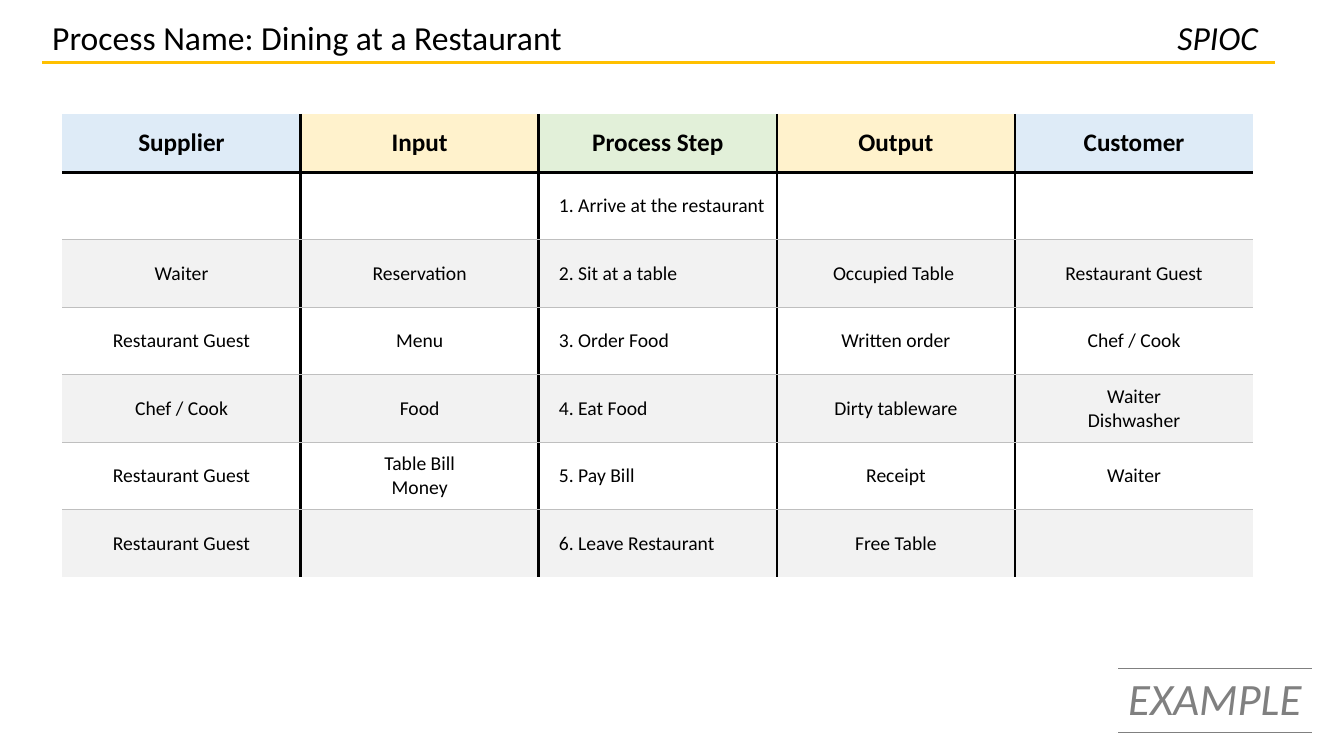
from lxml import etree
from pptx import Presentation
from pptx import util as u
from pptx.dml.color import RGBColor
from pptx.enum import shapes, text
from pptx.oxml.ns import qn

BLACK = RGBColor(0x00, 0x00, 0x00)
WHITE = RGBColor(0xFF, 0xFF, 0xFF)
GOLD = RGBColor(0xFF, 0xC0, 0x00)
BLUE = RGBColor(0xDE, 0xEB, 0xF7)
CREAM = RGBColor(0xFF, 0xF2, 0xCC)
GREEN = RGBColor(0xE2, 0xF0, 0xD9)
BAND = RGBColor(0xF2, 0xF2, 0xF2)
RULE = RGBColor(0xBF, 0xBF, 0xBF)
GREY = RGBColor(0x80, 0x80, 0x80)
CENTER, LEFT, RIGHT = text.PP_ALIGN.CENTER, text.PP_ALIGN.LEFT, text.PP_ALIGN.RIGHT

presentation = Presentation()
presentation.slide_width, presentation.slide_height = u.Inches(13.33), u.Inches(7.5)
slide = presentation.slides.add_slide(presentation.slide_layouts[6])


def share(*percents):
    sides = (presentation.slide_width, presentation.slide_height) * 2
    return [round(side * percent / 100) for side, percent in zip(sides, percents)]


def write(frame, content, alignment, size, **format_values):
    frame.text = content
    values = {"name": "Calibri", "size": u.Pt(size), "bold": False, **format_values}
    color = values.pop("color", BLACK)
    for paragraph in frame.paragraphs:
        paragraph.alignment = alignment
        for run in paragraph.runs:
            for name, value in values.items():
                setattr(run.font, name, value)
            run.font.color.rgb = color


title_rule = slide.shapes.add_connector(
    shapes.MSO_CONNECTOR.STRAIGHT, *share(3.15, 8.27, 94.9, 8.27))
title_rule.line.color.rgb = GOLD
title_rule.line.width = u.Pt(1.5)
etree.SubElement(title_rule._element.spPr, qn("a:effectLst"))

headings = [
    ("Process Name: Dining at a Restaurant", (3.15, 1.6, 46.89, 6.67), LEFT, False),
    ("SPIOC ", (64.52, 1.6, 30.38, 6.67), RIGHT, True),
]
for content, place, alignment, italic in headings:
    shape = slide.shapes.add_textbox(*share(*place))
    shape.text_frame.word_wrap = True
    write(shape.text_frame, content, alignment, 24, italic=italic)

headers = ["Supplier", "Input", "Process Step", "Output", "Customer"]
header_fills = [BLUE, CREAM, GREEN, CREAM, BLUE]
steps = [
    ["", "", "1. Arrive at the restaurant", "", ""],
    ["Waiter", "Reservation", "2. Sit at a table", "Occupied Table ", "Restaurant Guest"],
    ["Restaurant Guest", "Menu", "3. Order Food", "Written order", "Chef / Cook"],
    ["Chef / Cook", "Food", "4. Eat Food", "Dirty tableware", "Waiter\nDishwasher"],
    ["Restaurant Guest", "Table Bill\nMoney", "5. Pay Bill", "Receipt", "Waiter"],
    ["Restaurant Guest", "", "6. Leave Restaurant", "Free Table", ""],
]
process_rows = [headers] + steps
last_row, last_column = len(steps), len(headers) - 1
heavy, thin, example_rule, blank_rule = (BLACK, 2.25), (RULE, 1), (GREY, 1), (WHITE, 1)

process_table = slide.shapes.add_table(
    len(process_rows), len(headers), *share(4.65, 15.07, 88.6, 61.31)).table
example_table = slide.shapes.add_table(1, 1, *share(83.12, 88.4, 14.55, 8.4)).table
for table in (process_table, example_table):
    table.first_row = table.horz_banding = False

cells = []
for row, contents in enumerate(process_rows):
    process_table.rows[row].height = share(0, 8.93 if row else 7.73)[1]
    for column, content in enumerate(contents):
        cell = process_table.cell(row, column)
        cell.vertical_anchor = text.MSO_ANCHOR.MIDDLE
        if row:
            for side in ("left", "right", "top", "bottom"):
                setattr(cell, f"margin_{side}", u.Inches(0.04))
            if column == 2:
                cell.margin_left = u.Inches(0.2)
            write(cell.text_frame, content, LEFT if column == 2 else CENTER, 14)
        else:
            write(cell.text_frame, content, CENTER, 18, bold=True)
        borders = {
            "lnL": heavy if column else None,
            "lnR": heavy if column < last_column else None,
            "lnT": (heavy if row == 1 else thin) if row else None,
            "lnB": (thin if row else heavy) if row < last_row else None,
        }
        fill = (BAND if row % 2 == 0 else None) if row else header_fills[column]
        cells.append((cell, borders, fill))

example_cell = example_table.cell(0, 0)
example_cell.margin_left = example_cell.margin_right = u.Inches(0.05)
write(example_cell.text_frame, "EXAMPLE", CENTER, 32, italic=True, color=GREY)
cells.append((example_cell, {"lnL": blank_rule, "lnR": blank_rule,
                             "lnT": example_rule, "lnB": example_rule}, None))

for cell, borders, fill in cells:
    properties = cell._tc.get_or_add_tcPr()
    for tag, border in borders.items():
        line = etree.SubElement(properties, qn(f"a:{tag}"))
        if border:
            color, width = border
            line.set("w", str(u.Pt(width)))
            solid = etree.SubElement(line, qn("a:solidFill"))
            etree.SubElement(solid, qn("a:srgbClr")).set("val", str(color))
        else:
            etree.SubElement(line, qn("a:noFill"))
    if fill:
        cell.fill.solid()
        cell.fill.fore_color.rgb = fill
    else:
        cell.fill.background()

presentation.save("out.pptx")
